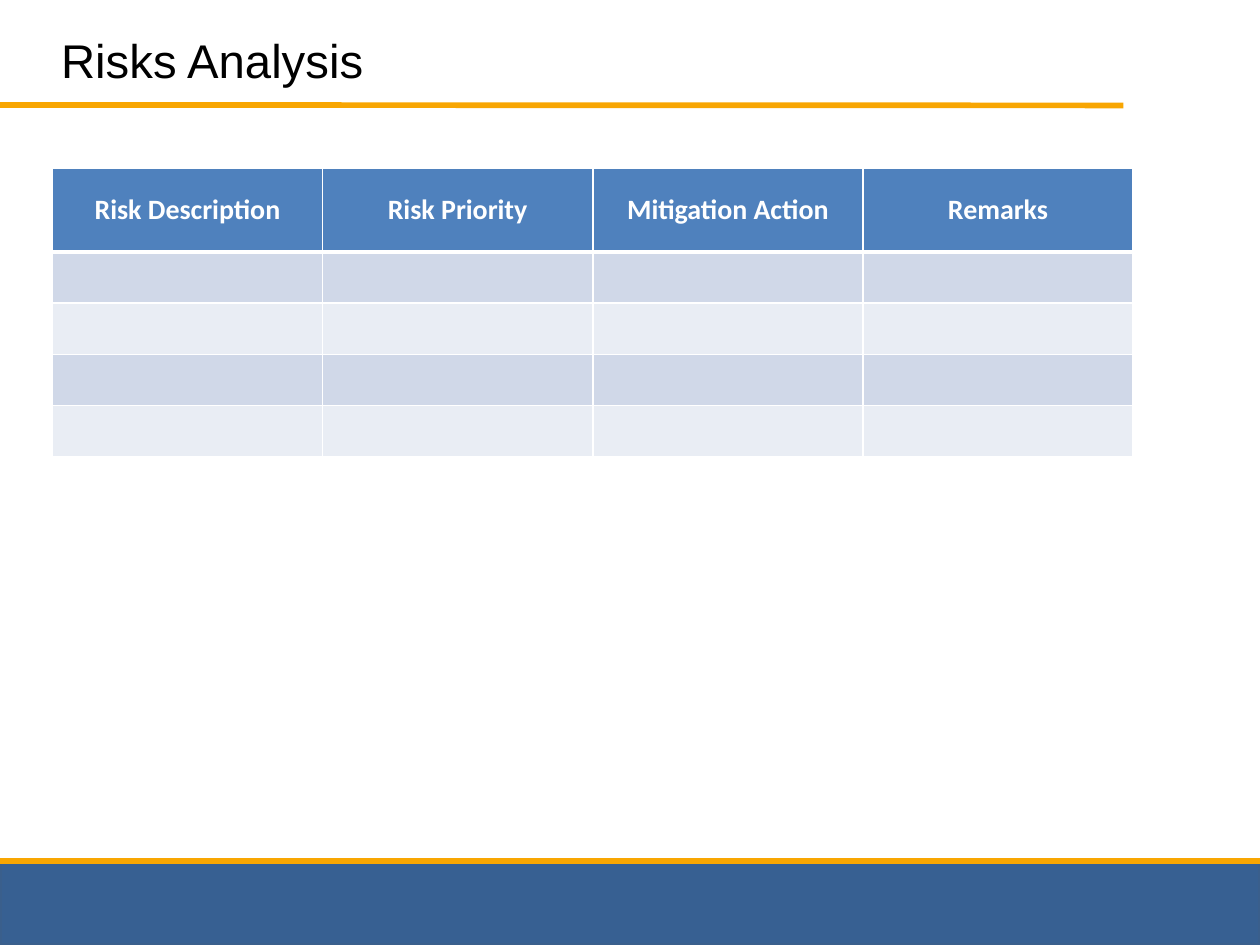
from dataclasses import dataclass

from lxml.etree import SubElement
from pptx import Presentation
from pptx.dml.color import RGBColor as Color
from pptx.enum.shapes import MSO_CONNECTOR as Connector, MSO_SHAPE as Shape
from pptx.enum.text import MSO_ANCHOR as Anchor, PP_ALIGN as Align
from pptx.oxml.ns import qn
from pptx.util import Pt


@dataclass(frozen=True)
class Theme:
    title_font: str = "Arial"
    table_font: str = "Calibri"
    title_size: float = 27
    table_size: float = 16
    rule_width: float = 3.25
    black: str = "000000"
    white: str = "FFFFFF"
    footer: str = "376092"
    footer_edge: str = "3A5F8C"
    rule: str = "F8A602"
    header: str = "4F81BD"
    bands: tuple = ("D0D8E8", "E9EDF4")


class SlideBuilder:
    """Holds the theme and the current slide, and draws each kind of element."""

    def __init__(self, slide, theme):
        self.slide = slide
        self.theme = theme

    def style(self, font, name, size, color, bold=False):
        font.name, font.size, font.bold = name, Pt(size), bold
        font.color.rgb = Color.from_string(color)

    def footer(self, left, top, width, height):
        band = self.slide.shapes.add_shape(
            Shape.RECTANGLE, Pt(left), Pt(top), Pt(width), Pt(height))
        band.shadow.inherit = False
        band.fill.solid()
        band.fill.fore_color.rgb = Color.from_string(self.theme.footer)
        band.line.color.rgb = Color.from_string(self.theme.footer_edge)
        band.line.width = Pt(2)

    def rule(self, start, end):
        rule = self.slide.shapes.add_connector(
            Connector.STRAIGHT, *map(Pt, start), *map(Pt, end))
        rule.line.color.rgb = Color.from_string(self.theme.rule)
        rule.line.width = Pt(self.theme.rule_width)
        SubElement(rule._element.spPr, qn("a:effectLst"))

    def title(self, text, left, top, width, height):
        box = self.slide.shapes.add_textbox(Pt(left), Pt(top), Pt(width), Pt(height))
        frame = box.text_frame
        frame.word_wrap = True
        frame.vertical_anchor = Anchor.TOP
        frame.margin_left, frame.margin_top = Pt(5), Pt(6)
        frame.text = text
        span = frame.paragraphs[0].runs[0]
        self.style(span.font, self.theme.title_font, self.theme.title_size, self.theme.black)

    def borders(self, cell, bottom):
        properties = cell._tc.get_or_add_tcPr()
        widths = {"lnL": 1, "lnR": 1, "lnT": 1, "lnB": bottom}
        for index, (side, width) in enumerate(widths.items()):
            line = properties.makeelement(qn(f"a:{side}"), {"w": str(Pt(width))})
            fill = SubElement(line, qn("a:solidFill"))
            SubElement(fill, qn("a:srgbClr"), val=self.theme.white)
            properties.insert(index, line)

    def cell(self, cell, text, fill, bottom):
        cell.fill.solid()
        cell.fill.fore_color.rgb = Color.from_string(fill)
        cell.vertical_anchor = Anchor.MIDDLE
        cell.margin_left = cell.margin_right = Pt(5)
        cell.margin_top = cell.margin_bottom = Pt(3)
        para = cell.text_frame.paragraphs[0]
        para.text = text
        para.alignment = Align.CENTER
        if text:
            self.style(para.runs[0].font, self.theme.table_font,
                       self.theme.table_size, self.theme.white, bold=True)
        else:
            para.font.size = Pt(self.theme.table_size)
        self.borders(cell, bottom)

    def table(self, headings, left, top, column_width, row_heights):
        table = self.slide.shapes.add_table(
            len(row_heights), len(headings), Pt(left), Pt(top),
            Pt(column_width * len(headings)), Pt(sum(row_heights))).table
        for column in table.columns:
            column.width = Pt(column_width)
        for index, height in enumerate(row_heights):
            table.rows[index].height = Pt(height)
            for column, heading in enumerate(headings):
                cell = table.cell(index, column)
                if index == 0:
                    self.cell(cell, heading, self.theme.header, bottom=3)
                else:
                    self.cell(cell, "", self.theme.bands[(index - 1) % 2], bottom=1)
        for column in range(len(headings)):
            top_line = table.cell(1, column)._tc.tcPr.find(qn("a:lnT"))
            top_line.set("w", str(Pt(3)))


def main():
    deck = Presentation()
    deck.slide_width, deck.slide_height = Pt(720), Pt(540)
    page = SlideBuilder(deck.slides.add_slide(deck.slide_layouts[6]), Theme())
    page.footer(0, 492, 720, 48)
    page.rule((0, 492), (720, 492))
    page.rule((0, 60), (642, 60.25))
    page.title("Risks Analysis", 30, 12, 654, 54)
    headings = ["Risk Description", "Risk Priority", "Mitigation Action", "Remarks"]
    page.table(headings, 30, 96, 154.4, [48] + [29.3] * 4)
    deck.save("out.pptx")


if __name__ == "__main__":
    main()
